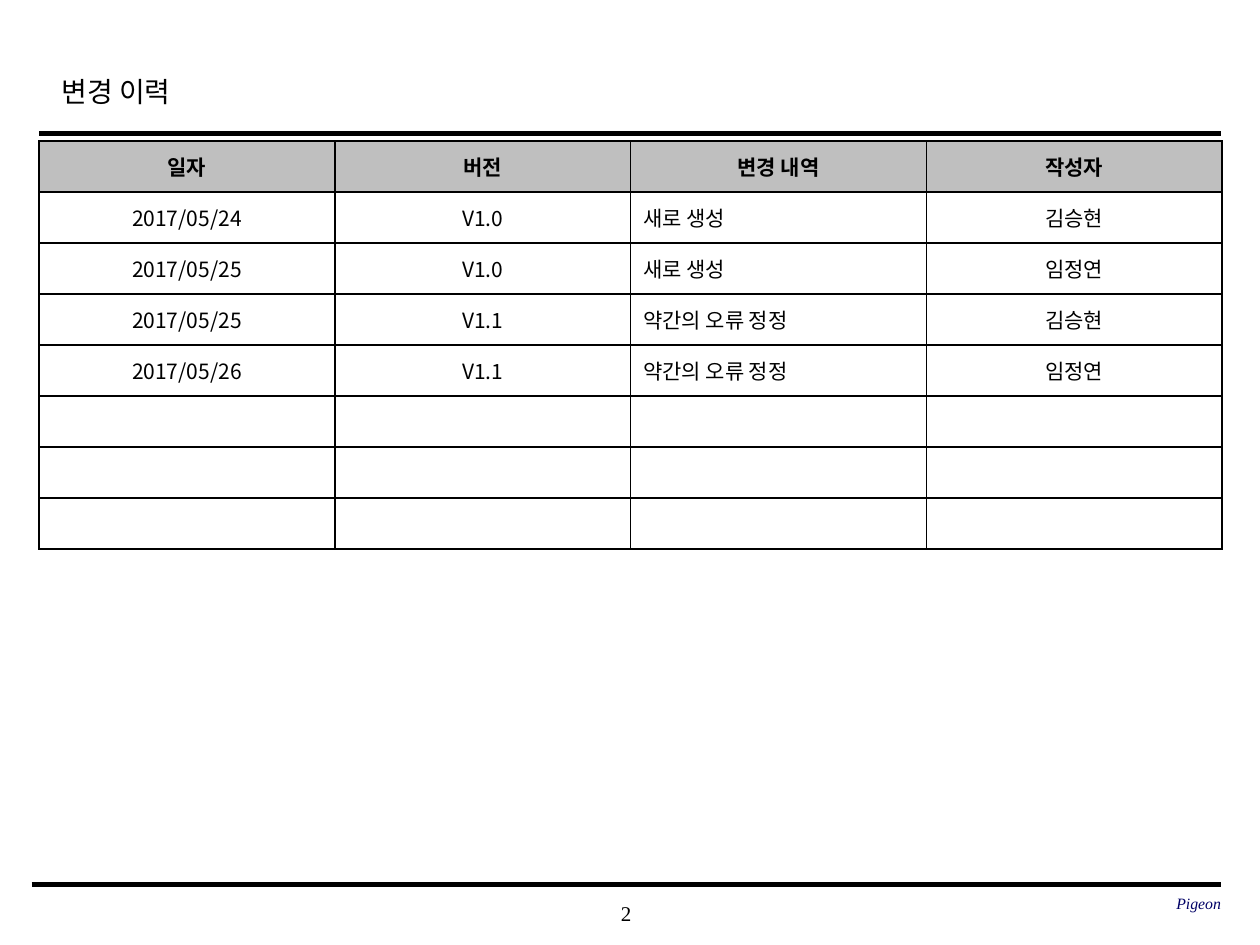
"""Build the change history slide."""
import pptx
import pptx.dml.color
import pptx.enum.shapes
import pptx.enum.text
import pptx.oxml
import pptx.oxml.ns
import pptx.util

Inches, Pt = pptx.util.Inches, pptx.util.Pt
ALIGN = pptx.enum.text.PP_ALIGN
MID = pptx.enum.text.MSO_ANCHOR.MIDDLE
TOP = pptx.enum.text.MSO_ANCHOR.TOP
SERIF, SANS = "Times New Roman", "Noto Sans CJK KR"
BLACK, WHITE, GREY, NAVY = "000000", "FFFFFF", "BFBFBF", "000066"

HEAD = ["일자", "버전", "변경 내역", "작성자"]
LOG = [
    ["2017/05/24", "V1.0", "새로 생성", "김승현"],
    ["2017/05/25", "V1.0", "새로 생성", "임정연"],
    ["2017/05/25", "V1.1", "약간의 오류 정정", "김승현"],
    ["2017/05/26", "V1.1", "약간의 오류 정정", "임정연"],
]
SPARE = 3
SIDES = [ALIGN.CENTER, ALIGN.CENTER, ALIGN.LEFT, ALIGN.CENTER]
GRID = (0.31, 1.12, 9.39, 3.24)
RULES = [(0.31, 1.06, 9.69, 2.5), (0.25, 7.02, 9.69, 3)]
TEXTS = [
    ("변경 이력", (0.39, 0.49, 7.55, 0.5), {"size": Pt(16)}, BLACK,
     {"alignment": ALIGN.LEFT, "line_spacing": 1.2},
     {"vertical_anchor": TOP}),
    ("2", (3.93, 7.08, 2.08, 0.33), {"size": Pt(12)}, BLACK,
     {"alignment": ALIGN.CENTER}, {"vertical_anchor": MID}),
    ("Pigeon", (6.63, 7.09, 3.06, 0.3), {"size": Pt(9), "italic": True}, NAVY,
     {"alignment": ALIGN.RIGHT}, {"vertical_anchor": TOP}),
]
BARE = dict.fromkeys(
    ["margin_left", "margin_right", "margin_top", "margin_bottom"], 0)


def tint(code):
    return pptx.dml.color.RGBColor.from_string(code)


def apply(obj, form):
    for key, value in form.items():
        setattr(obj, key, value)


def node(tag, body=""):
    space = pptx.oxml.ns.nsdecls("a")
    name = tag.split()[0]
    return pptx.oxml.parse_xml(f"<a:{tag} {space}>{body}</a:{name}>")


def write(par, text, face, form, code):
    run = par.add_run()
    run.text = text
    apply(run.font, {"name": face, **form})
    run.font.color.rgb = tint(code)
    run.font._element.append(node(f'ea typeface="{SANS}"'))


def label(slide, text, box, form, code, par, frame):
    area = slide.shapes.add_textbox(*map(Inches, box)).text_frame
    apply(area, {"word_wrap": True, **frame})
    if box[1] > 7:
        apply(area, BARE)
    apply(area.paragraphs[0], par)
    write(area.paragraphs[0], text, SERIF, form, code)


def rule(slide, left, top, right, width):
    line = slide.shapes.add_connector(
        pptx.enum.shapes.MSO_CONNECTOR.STRAIGHT,
        *map(Inches, (left, top, right, top)))
    line.line.color.rgb = tint(BLACK)
    line.line.width = Pt(width)
    line._element.spPr.append(node("effectLst"))


def border(cell):
    props = cell._tc.get_or_add_tcPr()
    paint = f'<a:solidFill><a:srgbClr val="{BLACK}"/></a:solidFill>'
    for side in "LRTB":
        props.append(node(f'ln{side} w="{Pt(1)}"', paint))


def table(slide):
    rows = [HEAD] + LOG + [[""] * len(HEAD)] * SPARE
    grid = slide.shapes.add_table(
        len(rows), len(HEAD), *map(Inches, GRID)).table
    for r, row in enumerate(rows):
        for c, text in enumerate(row):
            cell = grid.cell(r, c)
            border(cell)
            cell.fill.solid()
            cell.fill.fore_color.rgb = tint(WHITE if r else GREY)
            cell.vertical_anchor = MID
            if text:
                par = cell.text_frame.paragraphs[0]
                par.alignment = SIDES[c] if r else ALIGN.CENTER
                write(par, text, SANS, {"size": Pt(12), "bold": r == 0}, BLACK)


def main():
    deck = pptx.Presentation()
    apply(deck, {"slide_width": Inches(10), "slide_height": Inches(7.5)})
    slide = deck.slides.add_slide(deck.slide_layouts[6])
    for item in RULES:
        rule(slide, *item)
    for item in TEXTS:
        label(slide, *item)
    table(slide)
    deck.save("out.pptx")


if __name__ == "__main__":
    main()
